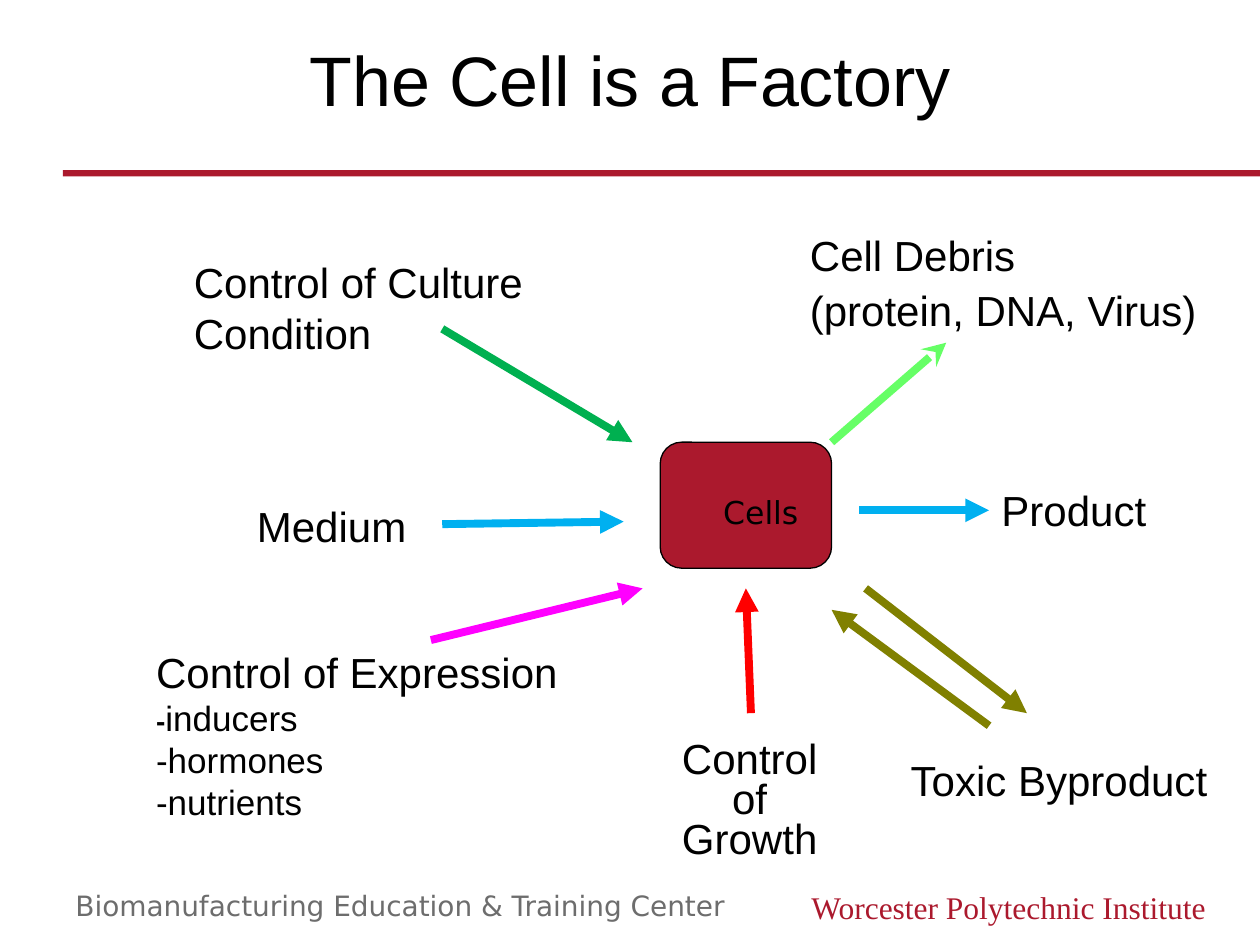
from dataclasses import dataclass

import lxml.etree
import pptx
import pptx.dml.color
import pptx.enum.shapes
import pptx.enum.text
import pptx.oxml.ns
import pptx.slide
import pptx.text.text
import pptx.util

EMU_PER_PX = 9144  # 100 px to the inch
CRIMSON, BLACK, OLIVE, SKY = "AB192D", "000000", "808000", "00B0F0"
ALIGN = pptx.enum.text.PP_ALIGN
SHAPE = pptx.enum.shapes.MSO_SHAPE


@dataclass(frozen=True)
class Line:
    text: str
    size: int = 24
    lead: str = ""  # small bold mark before the text


@dataclass(frozen=True)
class Label:
    box: tuple[int, int, int, int]
    lines: tuple[Line, ...]
    font: str = "Arial"
    color: str = BLACK
    align: ALIGN = ALIGN.LEFT
    gap: int = 0  # points between paragraphs
    spacing: float = 1.0


@dataclass(frozen=True)
class Arrow:
    start: tuple[int, int]
    end: tuple[int, int]
    color: str
    head: str = "triangle"


LABELS = [
    # Footer
    Label((600, 700, 367, 40), (Line("Worcester Polytechnic Institute", 18),),
          "Times New Roman", CRIMSON, ALIGN.RIGHT),
    Label((50, 700, 558, 33),
          (Line("Biomanufacturing Education & Training Center", 16),),
          "DejaVu Sans", "6D6D6D"),
    # Inputs
    Label((144, 199, 396, 91), (Line("Control of Culture Condition"),)),
    Label((194, 392, 198, 50), (Line("Medium"),)),
    Label((114, 508, 358, 151),
          (Line("Control of Expression"), Line("inducers", 20, "-"),
           Line("-hormones", 20), Line("-nutrients", 20))),
    Label((517, 584, 156, 107), (Line("Control of Growth"),),
          align=ALIGN.CENTER, spacing=0.8),
    # Outputs
    Label((633, 177, 354, 95),
          (Line("Cell Debris"), Line("(protein, DNA, Virus)")), gap=3),
    Label((785, 380, 174, 50), (Line("Product"),)),
    Label((713, 594, 287, 50), (Line("Toxic Byproduct"),)),
]

ARROWS = [
    Arrow((351, 261), (502, 351), "00B050"),  # culture condition
    Arrow((351, 416), (495, 414), SKY),  # medium
    Arrow((342, 508), (510, 467), "FF00FF"),  # expression
    Arrow((596, 566), (592, 467), "FF0000"),  # growth
    Arrow((660, 351), (751, 272), "66FF66", "stealth"),  # debris
    Arrow((682, 405), (785, 405), SKY),  # product
    Arrow((687, 467), (815, 566), OLIVE),  # byproduct out
    Arrow((785, 576), (660, 484), OLIVE),  # byproduct back
]


def px(length: int) -> pptx.util.Emu:
    return pptx.util.Emu(length * EMU_PER_PX)


def rgb(color: str) -> pptx.dml.color.RGBColor:
    return pptx.dml.color.RGBColor.from_string(color)


def style(paragraph: pptx.text.text._Paragraph, font: str, size: int,
          color: str, align: ALIGN) -> None:
    paragraph.alignment = align
    paragraph.font.name = font
    paragraph.font.size = pptx.util.Pt(size)
    paragraph.font.color.rgb = rgb(color)


def add_title(slide: pptx.slide.Slide, text: str) -> None:
    title = slide.shapes.title
    title.left, title.top, title.width, title.height = map(px, (75, 21, 850, 117))
    frame = title.text_frame
    frame.text = text
    frame.vertical_anchor = pptx.enum.text.MSO_ANCHOR.TOP
    frame.margin_top = px(8)
    style(frame.paragraphs[0], "Arial", 40, BLACK, ALIGN.CENTER)


def add_label(slide: pptx.slide.Slide, label: Label) -> None:
    frame = slide.shapes.add_textbox(*map(px, label.box)).text_frame
    frame.word_wrap = True
    for index, line in enumerate(label.lines):
        paragraph = frame.add_paragraph() if index else frame.paragraphs[0]
        if line.lead:
            mark = paragraph.add_run()
            mark.text = line.lead
            mark.font.size = pptx.util.Pt(16)
            mark.font.bold = True
        paragraph.add_run().text = line.text
        paragraph.line_spacing = label.spacing
        if index:
            paragraph.space_before = pptx.util.Pt(label.gap)
        style(paragraph, label.font, line.size, label.color, label.align)


def add_arrow(slide: pptx.slide.Slide, arrow: Arrow) -> None:
    connector = slide.shapes.add_connector(
        pptx.enum.shapes.MSO_CONNECTOR.STRAIGHT,
        *map(px, arrow.start + arrow.end))
    connector.line.color.rgb = rgb(arrow.color)
    connector.line.width = pptx.util.Pt(4.5)
    qn = pptx.oxml.ns.qn
    properties = connector.element.spPr
    lxml.etree.SubElement(properties.find(qn("a:ln")), qn("a:tailEnd"),
                          type=arrow.head)
    lxml.etree.SubElement(properties, qn("a:effectLst"))


def add_rule(slide: pptx.slide.Slide) -> None:
    rule = slide.shapes.add_shape(SHAPE.RECTANGLE, *map(px, (50, 135, 950, 5)))
    rule.shadow.inherit = False
    rule.fill.solid()
    rule.fill.fore_color.rgb = rgb(CRIMSON)
    rule.line.fill.background()


def add_cell(slide: pptx.slide.Slide) -> None:
    cell = slide.shapes.add_shape(SHAPE.ROUNDED_RECTANGLE,
                                  *map(px, (524, 351, 136, 100)))
    cell.shadow.inherit = False
    cell.adjustments[0] = 0.17
    cell.fill.solid()
    cell.fill.fore_color.rgb = rgb(CRIMSON)
    cell.line.color.rgb = rgb(BLACK)
    cell.line.width = pptx.util.Pt(0.75)
    frame = cell.text_frame
    frame.text = "Cells"
    frame.vertical_anchor = pptx.enum.text.MSO_ANCHOR.MIDDLE
    frame.margin_left = px(45)
    frame.margin_top = px(16)
    style(frame.paragraphs[0], "DejaVu Sans", 18, BLACK, ALIGN.LEFT)


def main() -> None:
    presentation = pptx.Presentation()
    presentation.slide_width, presentation.slide_height = px(1000), px(750)
    slide = presentation.slides.add_slide(presentation.slide_layouts[5])

    # Heading
    add_rule(slide)
    add_title(slide, "The Cell is a Factory")

    # Factory diagram and footer
    for label in LABELS:
        add_label(slide, label)
    add_cell(slide)
    for arrow in ARROWS:
        add_arrow(slide, arrow)

    presentation.save("out.pptx")


if __name__ == "__main__":
    main()
